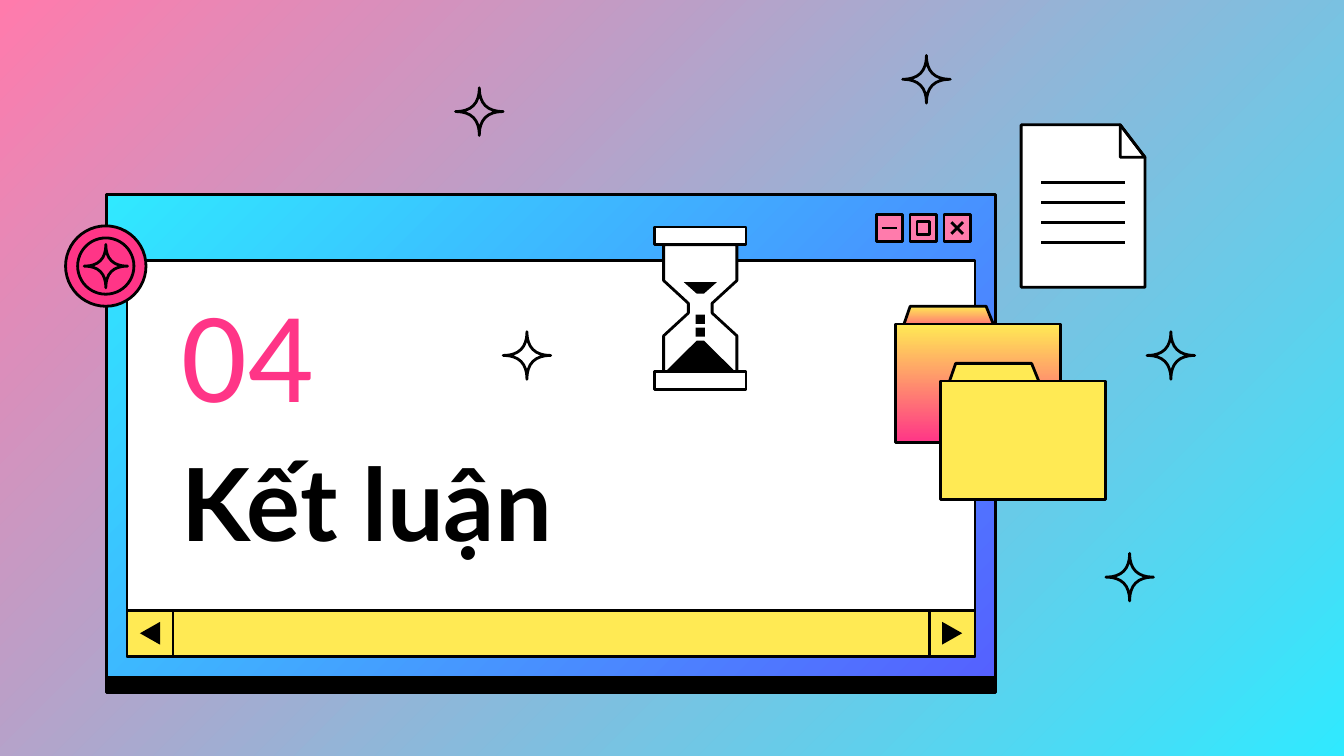
from math import cos, pi, sin

from lxml import etree
from pptx import Presentation
from pptx.dml.color import RGBColor
from pptx.enum.shapes import MSO_CONNECTOR, MSO_SHAPE
from pptx.enum.text import MSO_ANCHOR, MSO_AUTO_SIZE, PP_ALIGN
from pptx.oxml import parse_xml
from pptx.oxml.ns import nsdecls, qn
from pptx.util import Cm, Pt

RECTANGLE = MSO_SHAPE.RECTANGLE
OVAL = MSO_SHAPE.OVAL
TRIANGLE = MSO_SHAPE.ISOSCELES_TRIANGLE
RIGHT_TRIANGLE = MSO_SHAPE.RIGHT_TRIANGLE
CARD = MSO_SHAPE.FLOWCHART_CARD
STRAIGHT = MSO_CONNECTOR.STRAIGHT
MIDDLE = MSO_ANCHOR.MIDDLE
NO_FIT = MSO_AUTO_SIZE.NONE
LEFT = PP_ALIGN.LEFT

BLACK, WHITE, YELLOW = "000000", "FFFFFF", "FFEA54"
PINK, LIGHT_PINK, CYAN, VIOLET = "FF3587", "FF7BAC", "30E9FF", "5561FF"
OUTLINE = 1.5


def color(value):
    """Turn a hex string into a colour."""
    return RGBColor.from_string(value)


def paint(fill, value, angle=45):
    """Fill with nothing, a hex colour, or a pair of them as a clockwise gradient."""
    if value is None:
        fill.background()
    elif isinstance(value, str):
        fill.solid()
        fill.fore_color.rgb = color(value)
    else:
        fill.gradient()
        fill.gradient_angle = 360 - angle
        for stop, stop_color in zip(fill.gradient_stops, value):
            stop.color.rgb = color(stop_color)


def style(shape, fill, line_width=OUTLINE, angle=45):
    """Set the fill and black outline of a shape and drop its shadow."""
    shape.shadow.inherit = False
    paint(shape.fill, fill, angle)
    if line_width:
        shape.line.color.rgb = color(BLACK)
        shape.line.width = Pt(line_width)
    else:
        shape.line.fill.background()
    return shape


def add_preset(slide, kind, box, fill, **options):
    """Add a preset shape in a box of left, top, width and height."""
    shape = slide.shapes.add_shape(kind, *(Cm(value) for value in box))
    return style(shape, fill, **options)


def add_polygon(slide, box, points, fill, **options):
    """Add a closed outline whose points are fractions of the box."""
    left, top, width, height = box
    corners = [(Cm(left + x * width), Cm(top + y * height)) for x, y in points]
    builder = slide.shapes.build_freeform(*corners[0])
    builder.add_line_segments(corners[1:], close=True)
    return style(builder.convert_to_shape(), fill, **options)


def add_line(slide, start, end, width=OUTLINE):
    """Add a straight black line without shadow."""
    line = slide.shapes.add_connector(STRAIGHT, *(Cm(value) for value in (*start, *end)))
    line.line.color.rgb = color(BLACK)
    line.line.width = Pt(width)
    etree.SubElement(line._element.spPr, qn("a:effectLst"))


def write_text(shape, text, box, font, size, text_color, bold=False):
    """Place a text shape and write one formatted line in it."""
    shape.left, shape.top, shape.width, shape.height = (Cm(value) for value in box)
    frame = shape.text_frame
    frame.word_wrap = True
    frame.auto_size = NO_FIT
    frame.vertical_anchor = MIDDLE
    frame.margin_left = frame.margin_right = Cm(0.25)
    frame.margin_top = frame.margin_bottom = Cm(0.25)
    paragraph = frame.paragraphs[0]
    paragraph.alignment = LEFT
    run = paragraph.add_run()
    run.text = text
    run.font.name = font
    run.font.size = Pt(size)
    run.font.bold = bold
    run.font.color.rgb = color(text_color)


def add_hard_shadow(shape, distance):
    """Give a shape a solid black shadow straight below it."""
    effects = shape._element.spPr.find(qn("a:effectLst"))
    effects.append(parse_xml(
        f'<a:outerShdw {nsdecls("a")} dist="{Pt(distance)}" dir="5400000" '
        f'algn="bl" rotWithShape="0"><a:srgbClr val="{BLACK}"/></a:outerShdw>'))


def add_window_buttons(slide, right, top, size=0.5, pitch=0.64):
    """Draw the minimise, maximise and close buttons, ending at the right edge."""
    centers = [right - size / 2 - pitch * step for step in (2, 1, 0)]
    middle = top + size / 2
    for center in centers:
        add_preset(slide, RECTANGLE, (center - size / 2, top, size, size), LIGHT_PINK)
    minimise, maximise, close = centers
    add_line(slide, (minimise - 0.15, middle), (minimise + 0.15, middle), 1)
    add_preset(slide, RECTANGLE, (maximise - 0.12, middle - 0.12, 0.24, 0.24), None)
    for rise in (-0.11, 0.11):
        add_line(slide, (close - 0.11, middle - rise), (close + 0.11, middle + rise))


def add_window(slide, left, top, width, height):
    """Draw the window with its panel, scroll bar and buttons."""
    margin, header, bar = 0.39, 1.24, 0.87
    frame = add_preset(slide, RECTANGLE, (left, top, width, height), (CYAN, VIOLET))
    add_hard_shadow(frame, 8.2)
    inner_left, inner_width = left + margin, width - 2 * margin
    bar_top = top + height - margin - bar
    add_preset(slide, RECTANGLE,
               (inner_left, top + header, inner_width, bar_top - top - header), WHITE)
    add_preset(slide, RECTANGLE, (inner_left, bar_top, inner_width, bar), YELLOW)
    for end_left, turn in ((inner_left, 270), (inner_left + inner_width - bar, 90)):
        add_preset(slide, RECTANGLE, (end_left, bar_top, bar, bar), YELLOW)
        arrow = add_preset(slide, TRIANGLE, (end_left + 0.22, bar_top + 0.24, 0.43, 0.38),
                           BLACK, line_width=0)
        arrow.rotation = turn
    add_window_buttons(slide, left + width - 0.48, top + 0.38)


def add_sparkle(slide, left, top, size):
    """Draw a four-pointed star with inward curved sides."""
    points = []
    for step in range(48):
        x, y = cos(step * pi / 24), sin(step * pi / 24)
        points.append((0.5 + x * abs(x) ** 3 / 2, 0.5 + y * abs(y) ** 3 / 2))
    add_polygon(slide, (left, top, size, size), points, None)


def add_badge(slide, left, top, size):
    """Draw the round badge with an inner ring and a sparkle."""
    for inset, fill in ((0, PINK), (0.15, None)):
        offset, diameter = inset * size, size * (1 - 2 * inset)
        add_preset(slide, OVAL, (left + offset, top + offset, diameter, diameter), fill)
    add_sparkle(slide, left + size * 0.23, top + size * 0.23, size * 0.54)


def add_hourglass(slide, left, top, width, height):
    """Draw the hourglass from caps, symmetric glass and sand."""
    box = (left, top, width, height)
    cap = height * 0.11
    glass = [(0.1, 0.11), (0.1, 0.33), (0.37, 0.47), (0.37, 0.53), (0.1, 0.67), (0.1, 0.89)]
    lower_sand = [(0.46, 0.7), (0.12, 0.89)]
    upper_sand = [(0.32, 0.34), (0.46, 0.41)]
    for cap_top in (top, top + height - cap):
        add_preset(slide, RECTANGLE, (left, cap_top, width, cap), WHITE)
    for half, fill, line_width in ((glass, WHITE, OUTLINE), (lower_sand, BLACK, 0),
                                   (upper_sand, BLACK, 0)):
        mirrored = [(1 - x, y) for x, y in reversed(half)]
        add_polygon(slide, box, half + mirrored, fill, line_width=line_width)
    grain = width * 0.1
    for level in (0.54, 0.62):
        add_preset(slide, RECTANGLE,
                   (left + (width - grain) / 2, top + height * level, grain, grain),
                   BLACK, line_width=0)


def add_folder(slide, left, top, width, height, fill):
    """Draw a folder with its tab behind the body."""
    tab = [(0.09, 0), (0.03, 0.21), (0.62, 0.21), (0.55, 0)]
    add_polygon(slide, (left, top, width, height), tab, fill, angle=90)
    add_preset(slide, RECTANGLE, (left, top + height * 0.13, width, height * 0.87),
               fill, angle=90)


def add_document(slide, left, top, width, height):
    """Draw the page with a folded corner and four text lines."""
    page = add_preset(slide, CARD, (left, top, width, height), WHITE)
    page._element.spPr.find(qn("a:xfrm")).set("flipH", "1")
    add_preset(slide, RIGHT_TRIANGLE,
               (left + width * 0.8, top, width * 0.2, height * 0.2), None)
    for row in range(4):
        level = top + 1.09 + row * 0.38
        add_line(slide, (left + 0.38, level), (left + width - 0.38, level))


def main():
    """Build the section slide."""
    presentation = Presentation()
    presentation.slide_width, presentation.slide_height = Cm(25.4), Cm(14.29)
    slide = presentation.slides.add_slide(presentation.slide_layouts[5])
    paint(slide.background.fill, (LIGHT_PINK, CYAN))
    add_window(slide, 2.01, 3.68, 16.81, 9.12)
    title = slide.shapes.title
    slide.shapes._spTree.append(title._element)
    write_text(title, "Kết luận", (3.18, 7.57, 9.19, 3.81), "Lato", 54, BLACK, bold=True)
    number = slide.shapes.add_textbox(0, 0, 0, 0)
    write_text(number, "04", (3.18, 5.26, 3.3, 2.72), "Calibri", 69.5, PINK)
    for left, top in ((8.61, 1.66), (9.51, 6.27), (21.68, 6.27), (20.9, 10.46), (17.06, 1.05)):
        add_sparkle(slide, left, top, 0.9)
    add_badge(slide, 1.24, 4.27, 1.52)
    add_hourglass(slide, 12.37, 4.29, 1.73, 3.07)
    add_folder(slide, 16.92, 5.79, 3.12, 2.57, (YELLOW, PINK))
    add_folder(slide, 17.78, 6.87, 3.12, 2.57, YELLOW)
    add_document(slide, 19.3, 2.36, 2.34, 3.07)
    presentation.save("out.pptx")


if __name__ == "__main__":
    main()
